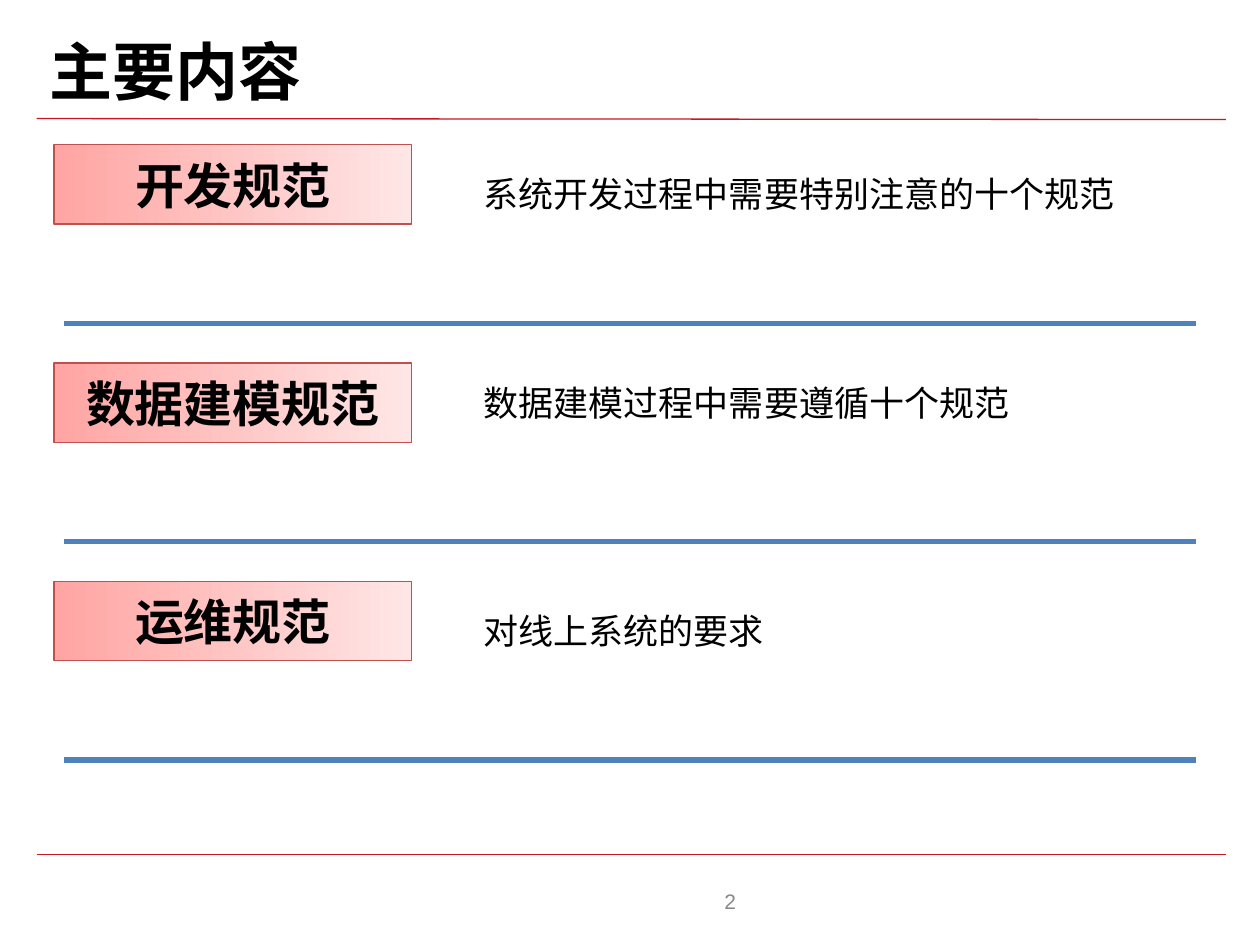
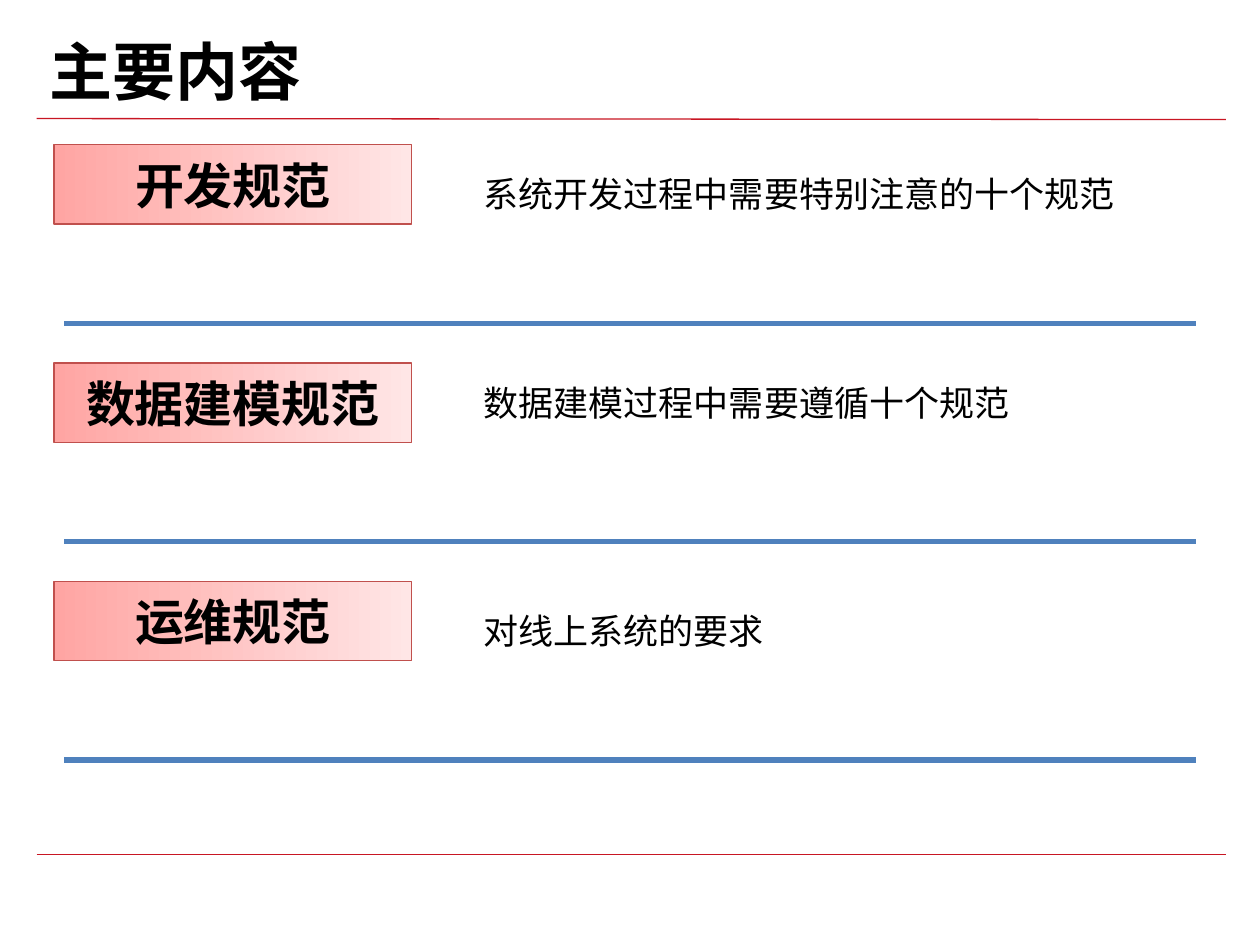
from lxml.etree import SubElement
from pptx import Presentation
from pptx.dml.color import RGBColor
from pptx.enum.shapes import MSO_CONNECTOR, MSO_SHAPE
from pptx.enum.text import MSO_ANCHOR, MSO_AUTO_SIZE, PP_ALIGN
from pptx.oxml.ns import qn
from pptx.util import Cm, Pt

RED, BLUE, BLACK, GREY = "C81623", "4F81BD", "000000", "898989"
EDGE, ROSE, PINK = "C0504D", "FFA5A3", "FFE6E6"
HAN = "Noto Sans CJK SC"

TITLE = "主要内容"
# label, note, top and width of the note in cm
TOPICS = [
    ("开发规范", "系统开发过程中需要特别注意的十个规范", 2.92, 14.2),
    ("数据建模规范", "数据建模过程中需要遵循十个规范", 7.14, 12.8),
    ("运维规范", "对线上系统的要求", 11.73, 15),
]
TOP, STEP = 2.92, 4.4


def color(code):
    return RGBColor.from_string(code)


def place(shape, left, top, width, height):
    shape.left, shape.top = Cm(left), Cm(top)
    shape.width, shape.height = Cm(width), Cm(height)


def write(shape, text, size, font=HAN, ink=BLACK, bold=False,
          align=PP_ALIGN.LEFT, anchor=MSO_ANCHOR.TOP, wrap=True):
    frame = shape.text_frame
    frame.text = text
    frame.word_wrap = wrap
    frame.auto_size = MSO_AUTO_SIZE.NONE
    frame.vertical_anchor = anchor
    para = frame.paragraphs[0]
    para.alignment = align
    run = para.runs[0]
    run.font.name, run.font.size, run.font.bold = font, Pt(size), bold
    run.font.color.rgb = color(ink)
    SubElement(run.font._element, qn("a:ea")).set("typeface", HAN)
    return para


def add_rule(slide, left, right, top, ink, weight, end=None):
    """Draw a line that is level unless end gives another height."""
    rule = slide.shapes.add_connector(
        MSO_CONNECTOR.STRAIGHT, Cm(left), Cm(top), Cm(right), Cm(end or top))
    rule.line.color.rgb = color(ink)
    rule.line.width = Pt(weight)
    SubElement(rule._element.spPr, qn("a:effectLst"))
    return rule


def add_frame(slide, layout):
    """Put the two red rules on the layout, so that all slides share them."""
    for mark, (top, end) in enumerate([(17.22, 17.22), (2.39, 2.41)], 20):
        rule = add_rule(slide, 0.74, 24.71, top, RED, 0.75, end)
        rule._element.nvCxnSpPr.cNvPr.id = mark
        layout.shapes.element.append(rule._element)


def add_title(slide):
    title = slide.shapes.title
    place(title, 0.74, 0.53, 5.59, 1.78)
    write(title, TITLE, 36, "Calibri", bold=True,
          align=PP_ALIGN.CENTER, wrap=False)


def add_label(slide, text, top):
    box = slide.shapes.add_shape(
        MSO_SHAPE.RECTANGLE, Cm(1.09), Cm(top), Cm(7.21), Cm(1.6))
    box.shadow.inherit = False
    box.fill.gradient()
    box.fill.gradient_angle = 0
    for stop, shade in zip(box.fill.gradient_stops, (ROSE, PINK)):
        stop.color.rgb = color(shade)
    box.line.color.rgb = color(EDGE)
    box.line.width = Pt(0.75)
    write(box, text, 28, bold=True, align=PP_ALIGN.CENTER,
          anchor=MSO_ANCHOR.MIDDLE)


def add_note(slide, text, top, width):
    box = slide.shapes.add_textbox(Cm(9.5), Cm(top), Cm(width), Cm(1.52))
    write(box, text, 20).line_spacing = 1.5


def add_number(slide, text):
    box = slide.shapes.add_textbox(Cm(9.17), Cm(17.65), Cm(5.92), Cm(1.02))
    write(box, text, 12, "Arial", GREY, align=PP_ALIGN.RIGHT,
          anchor=MSO_ANCHOR.MIDDLE)


def add_agenda(deck, layout):
    slide = deck.slides.add_slide(layout)
    add_title(slide)
    for row, (label, note, top, width) in enumerate(TOPICS):
        start = TOP + row * STEP
        add_label(slide, label, start)
        add_rule(slide, 1.3, 24.1, start + 3.6, BLUE, 3)
        add_note(slide, note, top, width)
    return slide


def main():
    deck = Presentation()
    deck.slide_width, deck.slide_height = Cm(25.4), Cm(19.05)
    layout = deck.slide_layouts[5]
    first = add_agenda(deck, layout)
    add_frame(first, layout)
    add_number(first, "2")
    add_agenda(deck, layout)
    deck.save("out.pptx")


if __name__ == "__main__":
    main()
